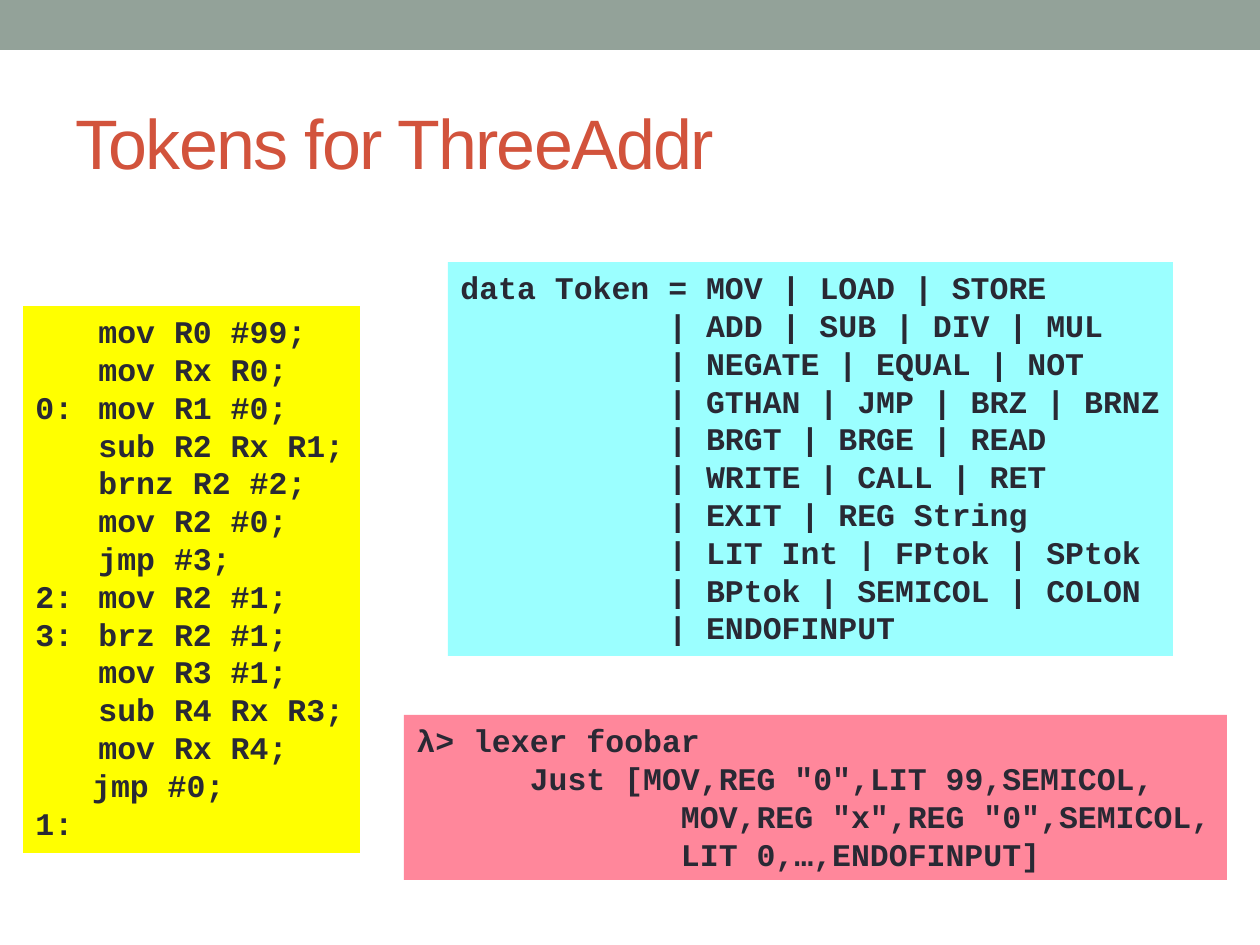
from dataclasses import dataclass

from pptx import Presentation
from pptx.dml.color import RGBColor
from pptx.enum.shapes import MSO_SHAPE as Preset
from pptx.enum.text import MSO_ANCHOR as Anchor, MSO_AUTO_SIZE as AutoSize, PP_ALIGN as Align
from pptx.util import Emu, Pt

EMU_PER_PX = 914400 / 126
CHAR_WIDTH = Pt(10.8)
TAB_WIDTH = 63

SAGE = RGBColor(0x93, 0xA2, 0x99)
RUST = RGBColor(0xD2, 0x53, 0x3C)
INK = RGBColor(0x29, 0x29, 0x34)
YELLOW = RGBColor(0xFF, 0xFF, 0x00)
CYAN = RGBColor(0x9B, 0xFF, 0xFF)
PINK = RGBColor(0xFF, 0x87, 0x9B)


@dataclass(frozen=True)
class Box:
    left: int
    top: int
    width: int
    height: int


@dataclass(frozen=True)
class Line:
    text: str
    indent: int = 0


@dataclass(frozen=True)
class CodePanel:
    box: Box
    fill: RGBColor
    wrap: bool
    lines: tuple[Line, ...]


def px(length: int) -> Emu:
    return Emu(round(length * EMU_PER_PX))


def place(box: Box) -> tuple[Emu, ...]:
    return px(box.left), px(box.top), px(box.width), px(box.height)


def draw_band(page, box: Box, color: RGBColor) -> None:
    band = page.shapes.add_shape(Preset.RECTANGLE, *place(box))
    band.shadow.inherit = False
    band.fill.solid()
    band.fill.fore_color.rgb = color
    band.line.fill.background()


def write_title(page, box: Box, text: str) -> None:
    title = page.shapes.title
    title.left, title.top, title.width, title.height = place(box)
    frame = title.text_frame
    frame.text = text
    frame.vertical_anchor = Anchor.MIDDLE
    para = frame.paragraphs[0]
    para.alignment = Align.LEFT
    span = para.runs[0]
    span.font.name = "Arial"
    span.font.size = Pt(40)
    span.font.color.rgb = RUST
    span.font._element.set("spc", "-100")


def draw_code(page, panel: CodePanel) -> None:
    shape = page.shapes.add_textbox(*place(panel.box))
    shape.fill.solid()
    shape.fill.fore_color.rgb = panel.fill
    frame = shape.text_frame
    frame.word_wrap = panel.wrap
    frame.auto_size = AutoSize.SHAPE_TO_FIT_TEXT
    for number, line in enumerate(panel.lines):
        para = frame.add_paragraph() if number else frame.paragraphs[0]
        para.text = line.text
        para.alignment = Align.LEFT
        properties = para._p.get_or_add_pPr()
        properties.set("marL", str(line.indent * CHAR_WIDTH))
        properties.set("indent", "0")
        properties.set("defTabSz", str(px(TAB_WIDTH)))
        for span in para.runs:
            span.font.name = "Courier New"
            span.font.size = Pt(18)
            span.font.bold = True
            span.font.color.rgb = INK


PROGRAM = CodePanel(Box(23, 306, 337, 547), YELLOW, False, (
    Line("\tmov R0 #99;"),
    Line("\tmov Rx R0;"),
    Line("0:\tmov R1 #0;"),
    Line("\tsub R2 Rx R1;"),
    Line("\tbrnz R2 #2;"),
    Line("\tmov R2 #0;"),
    Line("\tjmp #3;"),
    Line("2:\tmov R2 #1;"),
    Line("3:\tbrz R2 #1;"),
    Line("\tmov R3 #1;"),
    Line("\tsub R4 Rx R3;"),
    Line("\tmov Rx R4;"),
    Line("jmp #0;", 3),
    Line("1:"),
))

TOKEN_ROWS = (
    "| ADD | SUB | DIV | MUL",
    "| NEGATE | EQUAL | NOT",
    "| GTHAN | JMP | BRZ | BRNZ",
    "| BRGT | BRGE | READ",
    "| WRITE | CALL | RET",
    "| EXIT | REG String",
    "| LIT Int | FPtok | SPtok",
    "| BPtok | SEMICOL | COLON",
    "| ENDOFINPUT",
)

TOKENS = CodePanel(Box(448, 262, 725, 394), CYAN, False, (
    Line("data Token = MOV | LOAD | STORE"),
    *(Line(row, 11) for row in TOKEN_ROWS),
))

SESSION = CodePanel(Box(404, 715, 823, 165), PINK, True, (
    Line("λ> lexer foobar"),
    Line('Just [MOV,REG "0",LIT 99,SEMICOL,', 6),
    Line('MOV,REG "x",REG "0",SEMICOL,', 14),
    Line("LIT 0,…,ENDOFINPUT]", 14),
))


def main() -> None:
    deck = Presentation()
    deck.slide_width = px(1260)
    deck.slide_height = px(945)
    page = deck.slides.add_slide(deck.slide_layouts[5])
    draw_band(page, Box(0, 0, 1260, 50), SAGE)
    write_title(page, Box(63, 73, 1134, 136), "Tokens for ThreeAddr")
    for panel in (PROGRAM, TOKENS, SESSION):
        draw_code(page, panel)
    deck.save("out.pptx")


if __name__ == "__main__":
    main()
